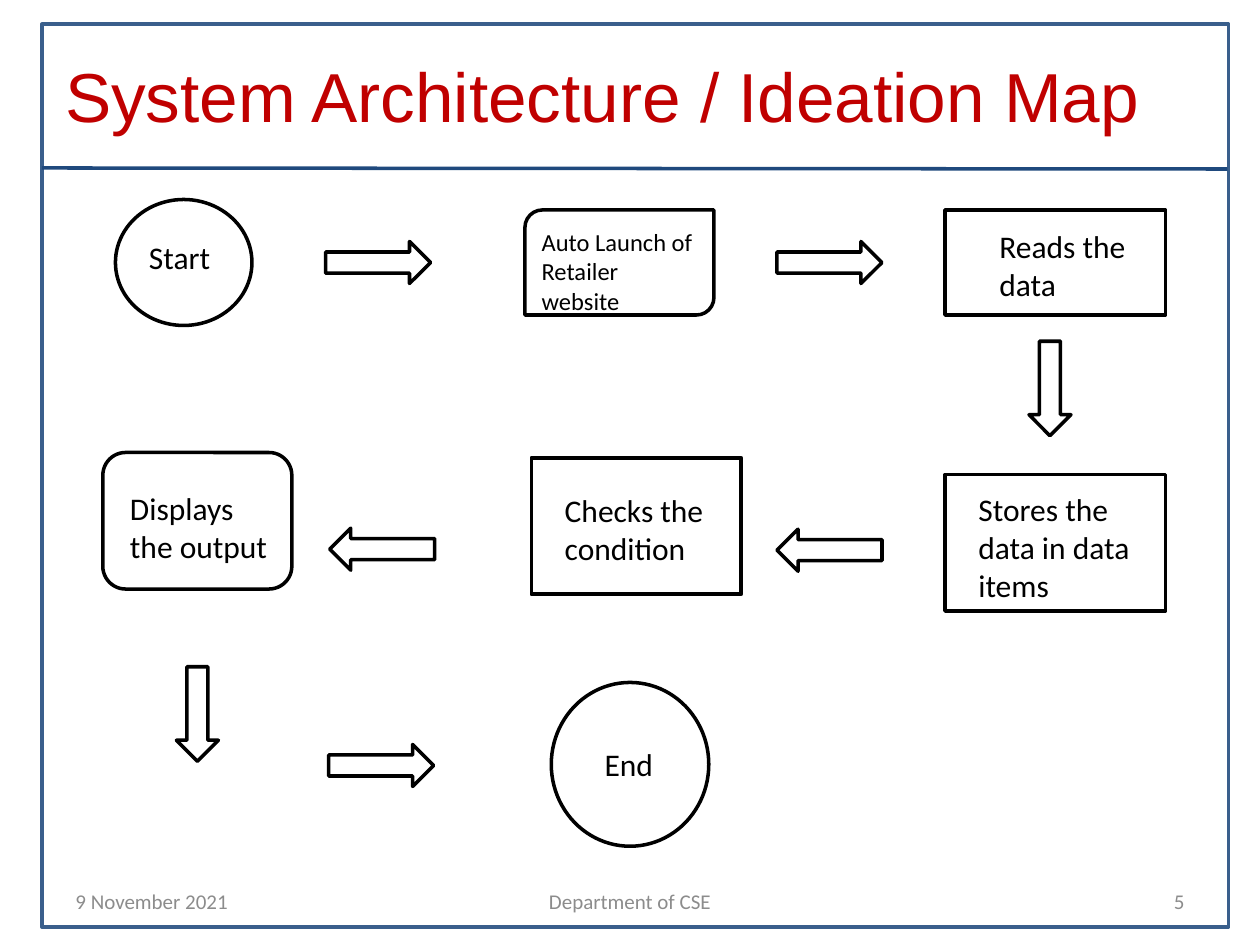
from lxml.etree import SubElement
from pptx import Presentation
from pptx.dml.color import RGBColor
from pptx.enum.shapes import MSO_CONNECTOR as Connector, MSO_SHAPE as Shape
from pptx.enum.text import MSO_ANCHOR as Anchor, MSO_AUTO_SIZE as Fit, PP_ALIGN as Align
from pptx.oxml.ns import qn
from pptx.util import Inches, Pt

COLORS = {"ink": "000000", "paper": "FFFFFF", "frame": "3A5F8C",
          "rule": "1F497D", "title": "C00000", "footer": "8C8C8C"}
COLUMNS, ROWS = 120, 90
TITLE = "System Architecture / Ideation Map"
FRAME = (4, 2.3, 113, 86)
RULE = (4, 16, 116.9, 16.1)

STEPS = [
    ("Start", Shape.OVAL, (11, 19, 13, 12), (13, 22.1, 9, 4.8), 18),
    ("Auto Launch of Retailer website", Shape.ROUND_2_DIAG_RECTANGLE,
     (50, 20, 18, 10), (50.4, 21, 17.6, 6.9), 14),
    ("Reads the data", Shape.RECTANGLE, (90, 20, 21, 10), (94, 21, 16, 8.5), 18),
    ("Stores the data in data items", Shape.RECTANGLE,
     (90, 45.2, 21, 13), (92, 46.1, 19, 12.1), 18),
    ("Checks the condition", Shape.RECTANGLE,
     (50.6, 43.6, 20, 13), (52.6, 46.2, 16, 8.5), 18),
    ("Displays the output", Shape.ROUNDED_RECTANGLE,
     (9.8, 43.1, 18, 13), (11.2, 46, 15.6, 8.5), 18),
    ("End", Shape.OVAL, (52.5, 65, 15, 15.6), (56.4, 70.4, 8.4, 4.8), 18),
]
DOWN, LEFT, RIGHT = 0, 90, 270
ARROW_WIDTH = 4
ARROW_LENGTH = {DOWN: 9, LEFT: 10, RIGHT: 10}
ARROWS = [(36, 25, RIGHT), (79, 25, RIGHT), (100, 37, DOWN), (79, 52.4, LEFT),
          (36.4, 52.3, LEFT), (18.8, 68, DOWN), (36.3, 72.9, RIGHT)]
FOOTERS = [("9 November 2021", (6, 83.4, 28, 4.8), Align.LEFT),
           ("Department of CSE", (41, 83.4, 38, 4.8), Align.CENTER),
           ("5", (86, 83.4, 28, 4.8), Align.RIGHT)]

deck = Presentation()
deck.slide_width, deck.slide_height = Inches(10), Inches(7.5)
page = deck.slides.add_slide(deck.slide_layouts[5])


def color(name):
    return RGBColor.from_string(COLORS[name])


def place(left, top, width, height):
    across, down = deck.slide_width / COLUMNS, deck.slide_height / ROWS
    return [int(value) for value in (left * across, top * down, width * across, height * down)]


def assign(target, values):
    for name, value in values.items():
        setattr(target, name, value)


def draw(kind, area, line="ink", rotation=0):
    shape = page.shapes.add_shape(kind, *place(*area))
    shape.shadow.inherit = False
    shape.rotation = rotation
    shape.fill.solid()
    shape.fill.fore_color.rgb = color("paper")
    shape.line.color.rgb = color(line)
    shape.line.width = Pt(2)


def write(box, text, size, font="Calibri", ink="ink", align=Align.LEFT, anchor=Anchor.TOP,
          fit=Fit.NONE):
    assign(box.text_frame, {"word_wrap": True, "auto_size": fit, "vertical_anchor": anchor})
    para = box.text_frame.paragraphs[0]
    para.alignment = align
    span = para.add_run()
    span.text = text
    assign(span.font, {"name": font, "size": Pt(size)})
    span.font.color.rgb = color(ink)


def add_text(text, area, size, **style):
    write(page.shapes.add_textbox(*place(*area)), text, size, **style)


draw(Shape.RECTANGLE, FRAME, line="frame")

x1, y1, x2, y2 = RULE
rule = page.shapes.add_connector(Connector.STRAIGHT, *place(x1, y1, x2, y2))
rule.line.color.rgb = color("rule")
rule.line.width = Pt(2)
SubElement(rule._element.spPr, qn("a:effectLst"))

title = page.shapes.title
assign(title, dict(zip(("left", "top", "width", "height"), place(5, 5, 108, 8))))
write(title, TITLE, 39.6, font="Arial", ink="title", anchor=Anchor.MIDDLE)
page.shapes._spTree.append(title._element)

for text, area, align in FOOTERS:
    add_text(text, area, 12, ink="footer", align=align, anchor=Anchor.MIDDLE)

for text, kind, area, text_area, size in STEPS:
    draw(kind, area)
    add_text(text, text_area, size, fit=Fit.SHAPE_TO_FIT_TEXT)

for x, y, turn in ARROWS:
    length = ARROW_LENGTH[turn]
    draw(Shape.DOWN_ARROW, (x - ARROW_WIDTH / 2, y - length / 2, ARROW_WIDTH, length),
         rotation=turn)

deck.save("out.pptx")
